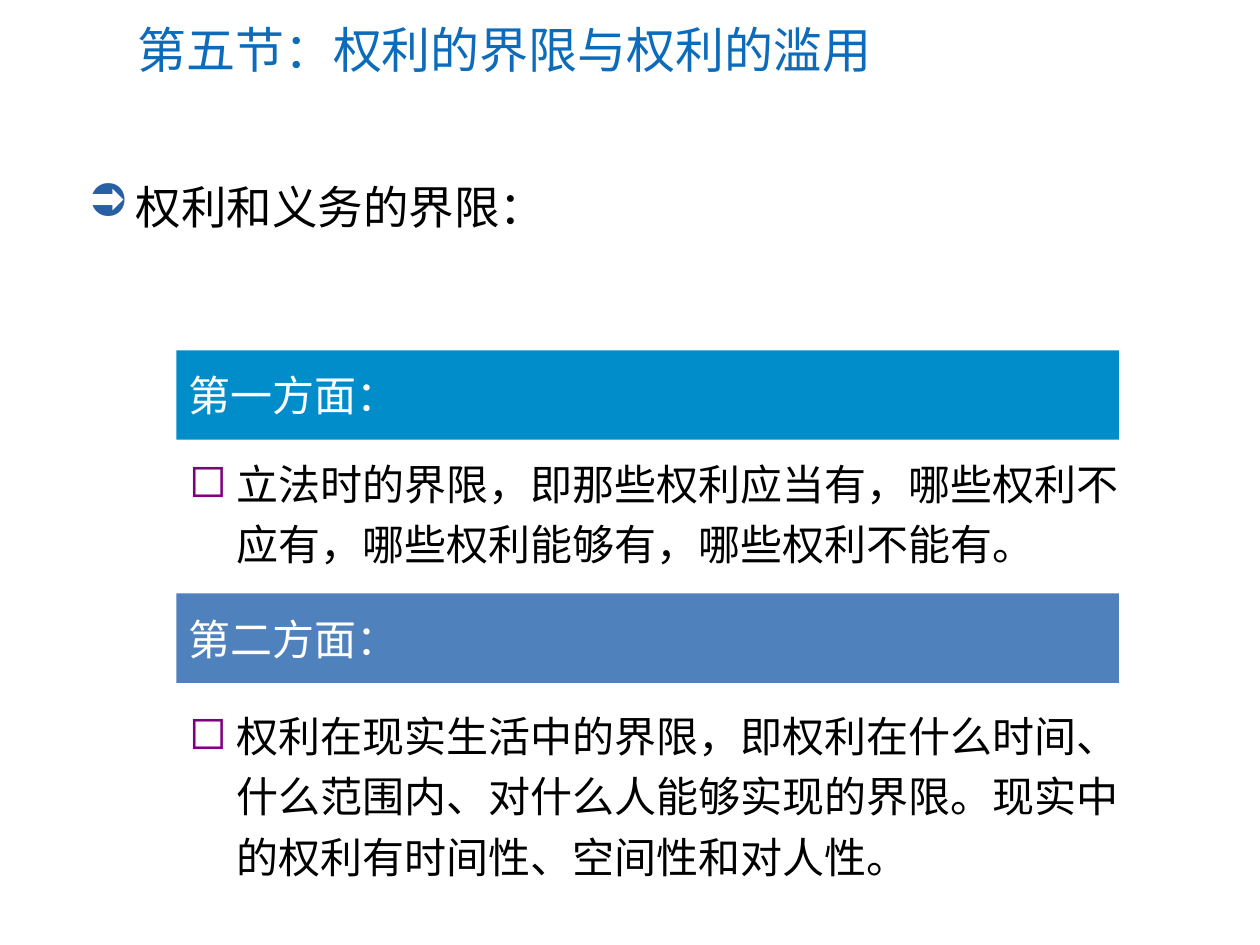
from dataclasses import dataclass
from typing import Optional

from lxml.etree import SubElement
from pptx import Presentation
from pptx.dml.color import RGBColor
from pptx.enum.shapes import MSO_SHAPE
from pptx.enum.text import MSO_ANCHOR, MSO_AUTO_SIZE, PP_ALIGN
from pptx.oxml.ns import qn
from pptx.util import Inches, Pt

WIDTH, HEIGHT = Inches(10), Inches(7.5)
FONT = "Calibri"
TITLE = RGBColor(0x0C, 0x6B, 0xBA)
ARROW = RGBColor(0x28, 0x60, 0xA4)
SQUARE = RGBColor(0x80, 0x00, 0x80)
CYAN = RGBColor(0x00, 0x8D, 0xCA)
BLUE = RGBColor(0x4F, 0x81, 0xBD)
BLACK = RGBColor(0, 0, 0)
WHITE = RGBColor(0xFF, 0xFF, 0xFF)
LEFT = 1.4
INDENT = Inches(0.38)


@dataclass
class Bullet:
    mark: str
    color: RGBColor
    size: Optional[int] = None


@dataclass
class Aspect:
    head: str
    text: str
    fill: RGBColor
    top: float
    below: float
    height: float


ASPECTS = [
    Aspect("第一方面：", "立法时的界限，即那些权利应当有，哪些权利不应有，"
           "哪些权利能够有，哪些权利不能有。", CYAN, 2.78, 3.51, 1.07),
    Aspect("第二方面：", "权利在现实生活中的界限，即权利在什么时间、什么范围内、"
           "对什么人能够实现的界限。现实中的权利有时间性、空间性和对人性。",
           BLUE, 4.71, 5.51, 1.49),
]


def place(shape, left: float, top: float, width: float, height: float) -> None:
    shape.left, shape.top = Inches(left), Inches(top)
    shape.width, shape.height = Inches(width), Inches(height)


def mark(para, bullet: Bullet) -> None:
    props = para._p.get_or_add_pPr()
    props.set("marL", str(INDENT))
    props.set("indent", str(-INDENT))
    color = SubElement(props, qn("a:buClr"))
    SubElement(color, qn("a:srgbClr"), val=str(bullet.color))
    if bullet.size:
        SubElement(props, qn("a:buSzPct"), val=str(bullet.size * 1000))
    SubElement(props, qn("a:buChar"), char=bullet.mark)


def write(frame, text: str, size: int, color: RGBColor,
          bullet: Optional[Bullet] = None, space: float = 1.0) -> None:
    frame.word_wrap = True
    para = frame.paragraphs[0]
    para.alignment = PP_ALIGN.LEFT
    if bullet:
        mark(para, bullet)
    para.line_spacing = space
    run = para.add_run()
    run.text = text
    run.font.size = Pt(size)
    run.font.name = FONT
    run.font.color.rgb = color
    SubElement(run._r.get_or_add_rPr(), qn("a:ea"), typeface=FONT)


def label(slide, left: float, top: float, width: float, height: float,
          text: str, size: int, bullet: Bullet, space: float = 1.0):
    box = slide.shapes.add_textbox(0, 0, 0, 0)
    place(box, left, top, width, height)
    write(box.text_frame, text, size, BLACK, bullet, space)
    return box


def draw(slide, item: Aspect) -> None:
    bar = slide.shapes.add_shape(MSO_SHAPE.RECTANGLE, 0, 0, 0, 0)
    place(bar, LEFT, item.top, 7.48, 0.71)
    bar.shadow.inherit = False
    bar.fill.solid()
    bar.fill.fore_color.rgb = item.fill
    bar.line.fill.background()
    bar.text_frame.vertical_anchor = MSO_ANCHOR.MIDDLE
    write(bar.text_frame, item.head, 24, WHITE)
    box = label(slide, LEFT, item.below, 7.68, item.height, item.text, 24,
                Bullet("◻", SQUARE, 110), 1.2)
    box.text_frame.auto_size = MSO_AUTO_SIZE.SHAPE_TO_FIT_TEXT


def main() -> None:
    deck = Presentation()
    deck.slide_width, deck.slide_height = WIDTH, HEIGHT
    slide = deck.slides.add_slide(deck.slide_layouts[5])
    title = slide.shapes.title
    place(title, 0.99, 0.1, 8.72, 0.58)
    title.text_frame.auto_size = MSO_AUTO_SIZE.NONE
    title.text_frame.vertical_anchor = MSO_ANCHOR.MIDDLE
    write(title.text_frame, "第五节：权利的界限与权利的滥用", 28, TITLE)
    label(slide, 0.6, 1.37, 7.56, 1.97, "权利和义务的界限：", 26,
          Bullet("➲", ARROW))
    for item in ASPECTS:
        draw(slide, item)
    deck.save("out.pptx")


if __name__ == "__main__":
    main()
